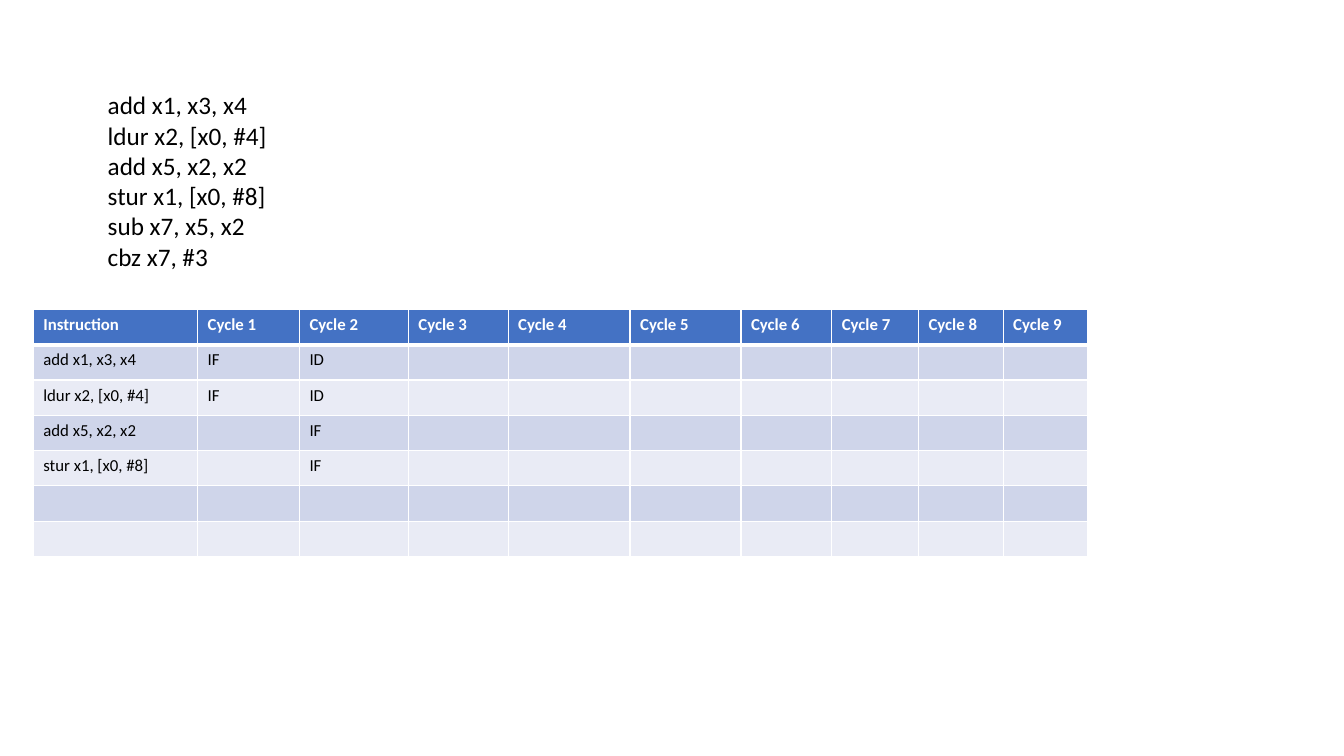
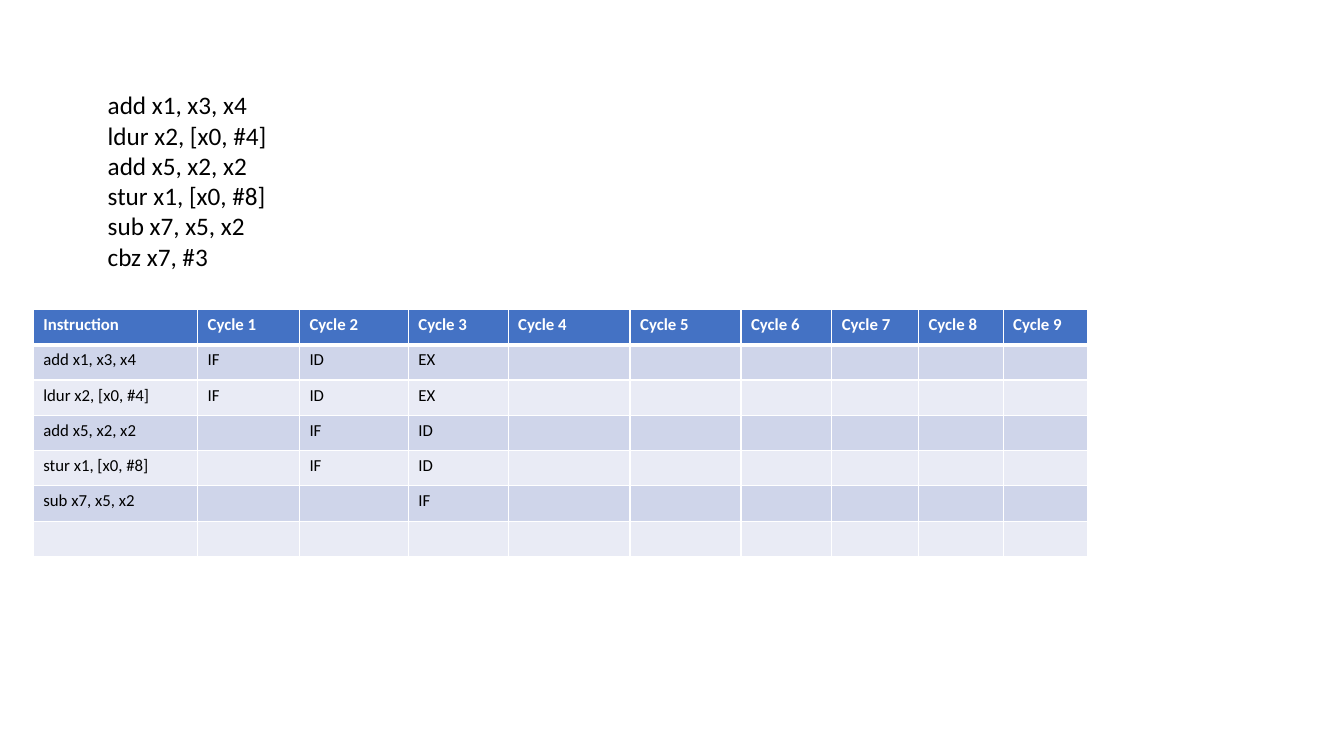
from lxml.etree import SubElement
from pptx import Presentation
from pptx.dml.color import RGBColor
from pptx.enum.text import MSO_AUTO_SIZE
from pptx.oxml.ns import qn
from pptx.util import Inches, Pt

WHITE = RGBColor(0xFF, 0xFF, 0xFF)
BLACK = RGBColor(0x00, 0x00, 0x00)
BLUE = RGBColor(0x44, 0x72, 0xC4)
BANDS = (RGBColor(0xCF, 0xD5, 0xEA), RGBColor(0xE9, 0xEB, 0xF5))

CODE = ["add x1, x3, x4", "ldur x2, [x0, #4]", "add x5, x2, x2",
        "stur x1, [x0, #8]", "sub x7, x5, x2", "cbz x7, #3"]
ISSUE_CYCLES = [1, 1, 2, 2, 3]
STAGES = ["IF", "ID", "EX"]
HEADER = ["Instruction"] + [f"Cycle {n}" for n in range(1, 10)]
COL_WIDTHS = [1.63, 1.01, 1.08, 0.99, 1.21, 1.1, 0.9, 0.86, 0.84, 0.84]
ROW_HEIGHT = 0.35


class Deck:
    code_style = {"name": "Calibri", "size": Pt(18), "bold": False}
    head_style = {"name": "Calibri", "size": Pt(12), "bold": True}
    cell_style = {**head_style, "bold": False}

    def __init__(self):
        self.prs = Presentation()
        self.prs.slide_width = Inches(13.33)
        self.prs.slide_height = Inches(7.5)

    def add_slide(self):
        self.s = self.prs.slides.add_slide(self.prs.slide_layouts[6])

    def add_text(self, p, text, style, color):
        if not text:
            p._p.get_or_add_endParaRPr().set("sz", str(int(style["size"].pt * 100)))
            return
        r = p.add_run()
        r.text = text
        for key, value in style.items():
            setattr(r.font, key, value)
        r.font.color.rgb = color

    def code(self, lines, left, top, width, height):
        sp = self.s.shapes.add_textbox(Inches(left), Inches(top), Inches(width), Inches(height))
        tf = sp.text_frame
        tf.word_wrap = False
        tf.auto_size = MSO_AUTO_SIZE.SHAPE_TO_FIT_TEXT
        for i, line in enumerate(lines):
            p = tf.add_paragraph() if i else tf.paragraphs[0]
            self.add_text(p, line, self.code_style, BLACK)

    def borders(self, cell, widths):
        tc_pr = cell._tc.get_or_add_tcPr()
        for side, width in widths.items():
            ln = SubElement(tc_pr, qn(f"a:ln{side}"), w=str(Pt(width)))
            fill = SubElement(ln, qn("a:solidFill"))
            SubElement(fill, qn("a:srgbClr"), val=str(WHITE))

    def table(self, rows, left, top):
        frame = self.s.shapes.add_table(
            len(rows), len(COL_WIDTHS), Inches(left), Inches(top),
            Inches(sum(COL_WIDTHS)), Inches(ROW_HEIGHT * len(rows)))
        tbl = frame.table
        for col, width in zip(tbl.columns, COL_WIDTHS):
            col.width = Inches(width)
        for i, row in enumerate(rows):
            tbl.rows[i].height = Inches(ROW_HEIGHT)
            style, color, fill = ((self.cell_style, BLACK, BANDS[(i - 1) % 2]) if i
                                  else (self.head_style, WHITE, BLUE))
            widths = {"L": 1, "R": 1, "T": 3 if i == 1 else 1, "B": 1 if i else 3}
            for j, text in enumerate(row):
                cell = tbl.cell(i, j)
                self.borders(cell, widths)
                cell.fill.solid()
                cell.fill.fore_color.rgb = fill
                self.add_text(cell.text_frame.paragraphs[0], text, style, color)


def pipeline_rows(now):
    rows = [HEADER]
    for line, start in zip(CODE, ISSUE_CYCLES):
        if start <= now:
            stages = STAGES[:now - start + 1]
            rows.append([line] + [""] * (start - 1) + stages + [""] * (9 - now))
    return rows + [[""] * len(HEADER) for _ in range(len(CODE) + 1 - len(rows))]


def main():
    deck = Deck()
    for now in (2, 3):
        deck.add_slide()
        deck.code(CODE, 0.97, 0.84, 1.8, 1.92)
        deck.table(pipeline_rows(now), 0.33, 3.07)
    deck.prs.save("out.pptx")


if __name__ == "__main__":
    main()
